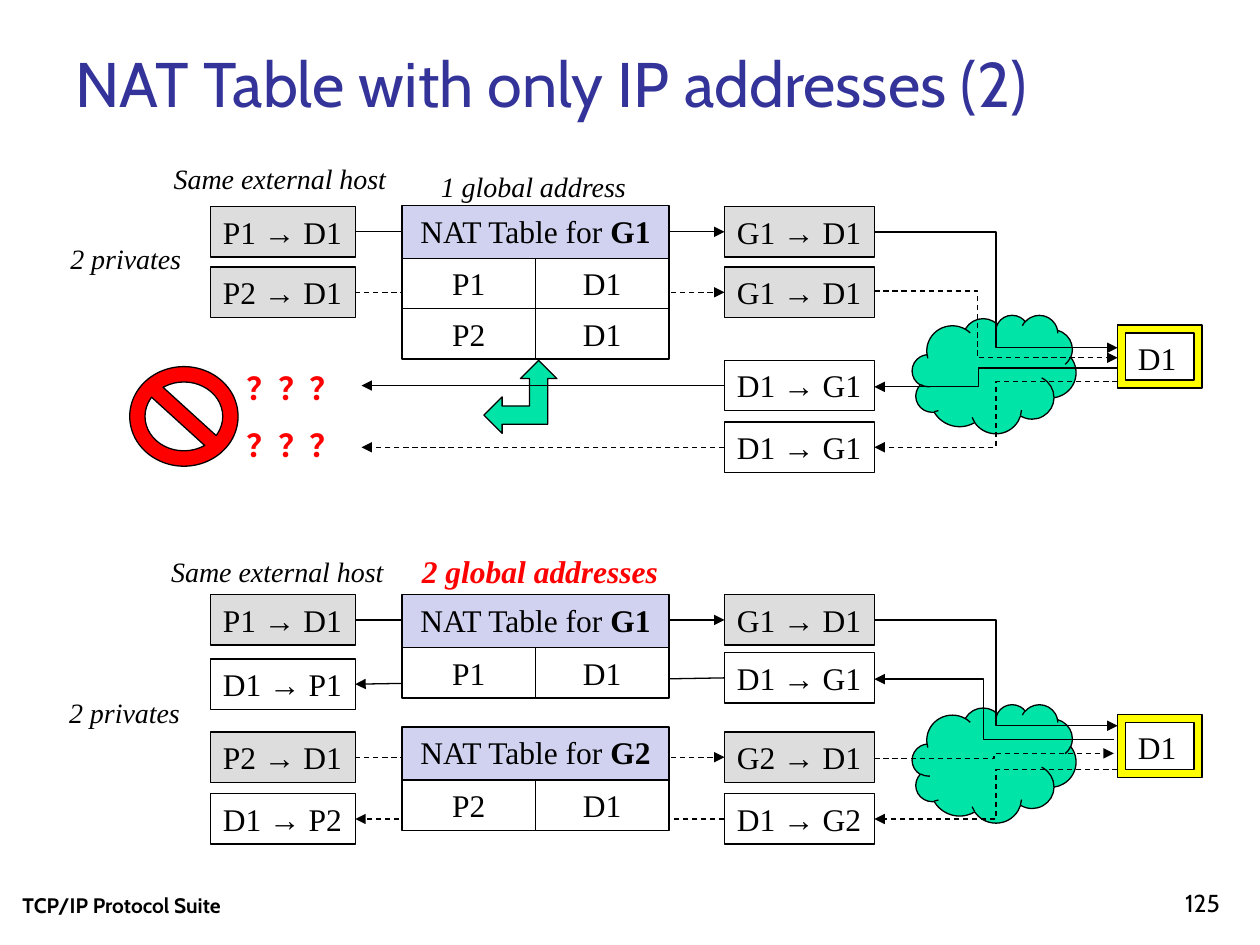
from pptx import Presentation
from pptx import util as u
from pptx.dml.color import RGBColor
from pptx.enum import dml, shapes, text
from pptx.oxml import parse_xml
from pptx.oxml.ns import nsdecls, qn

BLACK = RGBColor(0x00, 0x00, 0x00)
WHITE = RGBColor(0xFF, 0xFF, 0xFF)
RED = RGBColor(0xFF, 0x00, 0x00)
YELLOW = RGBColor(0xFF, 0xFF, 0x00)
GREEN = RGBColor(0x00, 0xE4, 0xA8)
GREY = RGBColor(0xDD, 0xDD, 0xDD)
LILAC = RGBColor(0xD1, 0xD1, 0xF0)
BLUE = RGBColor(0x33, 0x33, 0x99)

SHAPE = shapes.MSO_SHAPE
STRAIGHT = shapes.MSO_CONNECTOR.STRAIGHT
BENT = shapes.MSO_CONNECTOR.ELBOW
LEFT, CENTER, RIGHT = text.PP_ALIGN.LEFT, text.PP_ALIGN.CENTER, text.PP_ALIGN.RIGHT
TOP, BOTTOM = text.MSO_ANCHOR.TOP, text.MSO_ANCHOR.BOTTOM
SERIF = {"name": "Times New Roman", "size": u.Pt(18)}
LABEL = SERIF | {"size": u.Pt(16), "italic": True}
SANS = {"name": "Cabin", "size": u.Pt(14)}

PRIVATE, TABLE, GLOBAL, CLOUD, SERVER = 1.67, 3.19, 5.75, 7.24, 8.87
PRIVATE_WIDTH, GLOBAL_WIDTH, CELL_WIDTH = 1.15, 1.19, 1.06
ROW, HEADER = 0.4, 0.42
GLOBAL_END = GLOBAL + GLOBAL_WIDTH

deck = Presentation()
deck.slide_width, deck.slide_height = u.Inches(10), u.Inches(7.5)
page = deck.slides.add_slide(deck.slide_layouts[5])


def add_box(kind, place, words="", fill=None, font=SERIF, color=BLACK,
            align=LEFT, wrap=False, anchor=TOP):
    frame = [u.Inches(length) for length in place]
    if kind is None:
        box = page.shapes.add_textbox(*frame)
    else:
        box = page.shapes.add_shape(kind, *frame)
        box.shadow.inherit = False
        box.line.color.rgb = BLACK
        box.line.width = u.Pt(0.75)
        if fill is None:
            box.fill.background()
        else:
            box.fill.solid()
            box.fill.fore_color.rgb = fill
    body = box.text_frame
    body.word_wrap = wrap
    body.vertical_anchor = anchor
    para = body.paragraphs[0]
    para.alignment = align
    for index, part in enumerate(words.split("*") if words else []):
        span = para.add_run()
        span.text = part
        for name, value in font.items():
            setattr(span.font, name, value)
        if index:
            span.font.bold = True
        span.font.color.rgb = color
    return box


def add_arrow(kind, start, end, dashed=False, source=None, target=None, bend=0.5):
    arrow = page.shapes.add_connector(kind, *[u.Inches(n) for n in (*start, *end)])
    if source is not None:
        arrow.begin_connect(source, 1 if start[0] > end[0] else 3)
    if target is not None:
        arrow.end_connect(target, 3 if start[0] > end[0] else 1)
    arrow.line.color.rgb = BLACK
    arrow.line.width = u.Pt(0.75)
    if dashed:
        arrow.line.dash_style = dml.MSO_LINE.DASH
    arrow.line._get_or_add_ln().append(
        parse_xml(f'<a:tailEnd {nsdecls("a")} type="triangle"/>'))
    properties = arrow._element.spPr
    properties.append(parse_xml(f'<a:effectLst {nsdecls("a")}/>'))
    if bend != 0.5:
        guides = properties.find(qn("a:prstGeom")).get_or_add_avLst()
        guides.append(parse_xml(
            f'<a:gd {nsdecls("a")} name="adj1" fmla="val {round(bend * 100000)}"/>'))


title = page.shapes.title
title.left, title.top, title.width, title.height = [
    u.Inches(n) for n in (0.5, 0.3, 9, 0.7)]
title.text_frame.text = "NAT Table with only IP addresses (2)"
title.text_frame.vertical_anchor = TOP
title.text_frame.auto_size = text.MSO_AUTO_SIZE.NONE
heading = title.text_frame.paragraphs[0]
heading.alignment = LEFT
for name, value in (SANS | {"size": u.Pt(36)}).items():
    setattr(heading.runs[0].font, name, value)
heading.runs[0].font.color.rgb = BLUE

add_box(None, (0.08, 6.83, 3.17, 0.5), "TCP/IP Protocol Suite", wrap=True,
        font=SANS | {"size": u.Pt(12), "bold": True}, anchor=BOTTOM)
add_box(None, (7.7, 6.83, 2.08, 0.5), "125", font=SANS, wrap=True,
        align=RIGHT, anchor=BOTTOM)

for top in (2.5, 5.59):
    add_box(SHAPE.CLOUD, (CLOUD, top, 1.3, 0.94), fill=GREEN)
    add_box(SHAPE.FRAME, (SERVER, top + 0.08, 0.67, 0.5), "D1", YELLOW, wrap=True)
add_box(SHAPE.LEFT_UP_ARROW, (3.84, 2.86, 0.58, 0.58), fill=GREEN)
add_box(SHAPE.NO_SYMBOL, (1.03, 2.91, 0.86, 0.79), fill=RED).adjustments[0] = 0.154

for private_top, global_top, private_words, global_words, outgoing, dashed in (
    (1.64, 1.64, "P1 → D1", "G1 → D1", True, False),
    (2.12, 2.12, "P2 → D1", "G1 → D1", True, True),
    (None, 2.86, None, "D1 → G1", False, False),
    (None, 3.35, None, "D1 → G1", False, True),
    (4.72, 4.72, "P1 → D1", "G1 → D1", True, False),
    (5.23, 5.18, "D1 → P1", "D1 → G1", False, False),
    (5.81, 5.81, "P2 → D1", "G2 → D1", True, True),
    (6.3, 6.3, "D1 → P2", "D1 → G2", False, True),
):
    fill = GREY if outgoing else None
    public = add_box(SHAPE.RECTANGLE, (GLOBAL, global_top, GLOBAL_WIDTH, ROW),
                     global_words, fill)
    private = None
    inner = (2.87, global_top + ROW / 2)
    if private_words:
        private = add_box(SHAPE.RECTANGLE, (PRIVATE, private_top, PRIVATE_WIDTH, ROW),
                          private_words, fill)
        inner = (PRIVATE + PRIVATE_WIDTH, private_top + ROW / 2)
    outer = (GLOBAL, global_top + ROW / 2)
    if outgoing:
        add_arrow(STRAIGHT, inner, outer, dashed, private, public)
    else:
        add_arrow(STRAIGHT, outer, inner, dashed, public, private)

for top, address, privates in (
    (1.63, "G1", ("P1", "P2")),
    (4.72, "G1", ("P1",)),
    (5.77, "G2", ("P2",)),
):
    add_box(SHAPE.RECTANGLE, (TABLE, top, 2 * CELL_WIDTH, HEADER),
            f"NAT Table for *{address}", LILAC, align=CENTER, wrap=True)
    for row, host in enumerate(privates):
        for column, words in enumerate((host, "D1")):
            add_box(SHAPE.RECTANGLE, (TABLE + column * CELL_WIDTH,
                    top + HEADER + row * ROW, CELL_WIDTH, ROW),
                    words, WHITE, align=CENTER, wrap=True)

for global_y, server_x, server_y, outgoing, dashed, bend in (
    (1.84, SERVER, 2.76, True, False, 0.5),
    (2.31, SERVER, 2.84, True, True, 0.424),
    (3.07, SERVER, 2.92, False, False, 0.571),
    (3.55, SERVER, 3.03, False, True, 0.5),
    (4.92, SERVER, 5.76, True, False, 0.5),
    (5.39, 8.84, 5.87, False, False, 0.543),
    (6.02, 8.84, 5.98, True, True, 0.5),
    (6.5, SERVER, 6.11, False, True, 0.5),
):
    ends = [(GLOBAL_END, global_y), (server_x, server_y)]
    start, end = ends if outgoing else reversed(ends)
    add_arrow(BENT, start, end, dashed, bend=bend)

for place, words in (
    ((1.28, 1.23, 1.91, 0.37), "Same external host"),
    ((3.4, 1.3, 1.69, 0.37), "1 global address"),
    ((0.46, 1.87, 1.1, 0.37), "2 privates"),
    ((1.26, 4.35, 1.91, 0.37), "Same external host"),
    ((0.45, 5.47, 1.1, 0.37), "2 privates"),
):
    add_box(None, place, words, font=LABEL)

add_box(None, (3.25, 4.33, 2.09, ROW), "2 global addresses", color=RED,
        font=SERIF | {"bold": True, "italic": True})
for top in (2.88, 3.33):
    add_box(None, (1.86, top, 0.96, ROW), "？？？", color=RED,
            font=SERIF | {"bold": True})

deck.save("out.pptx")
